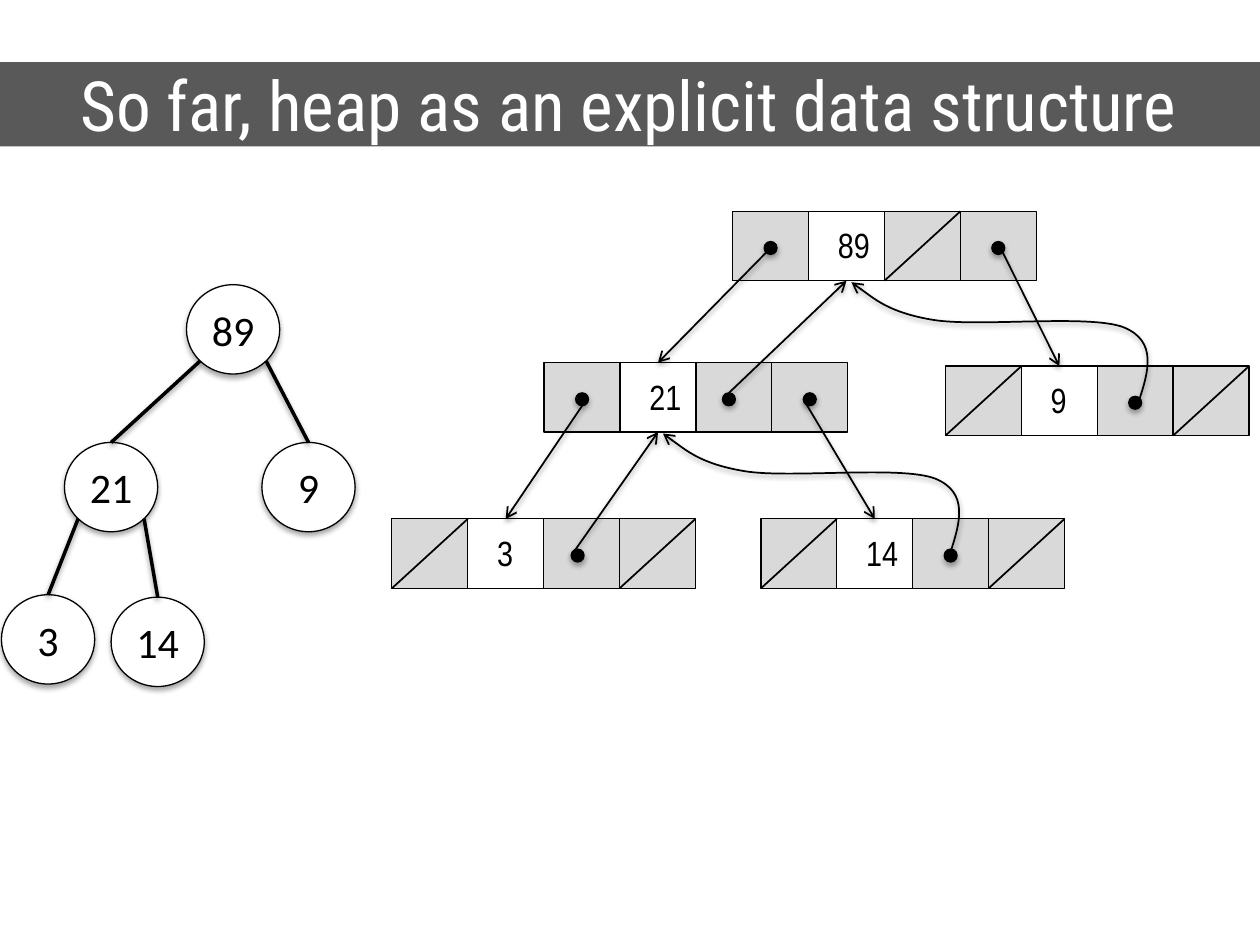
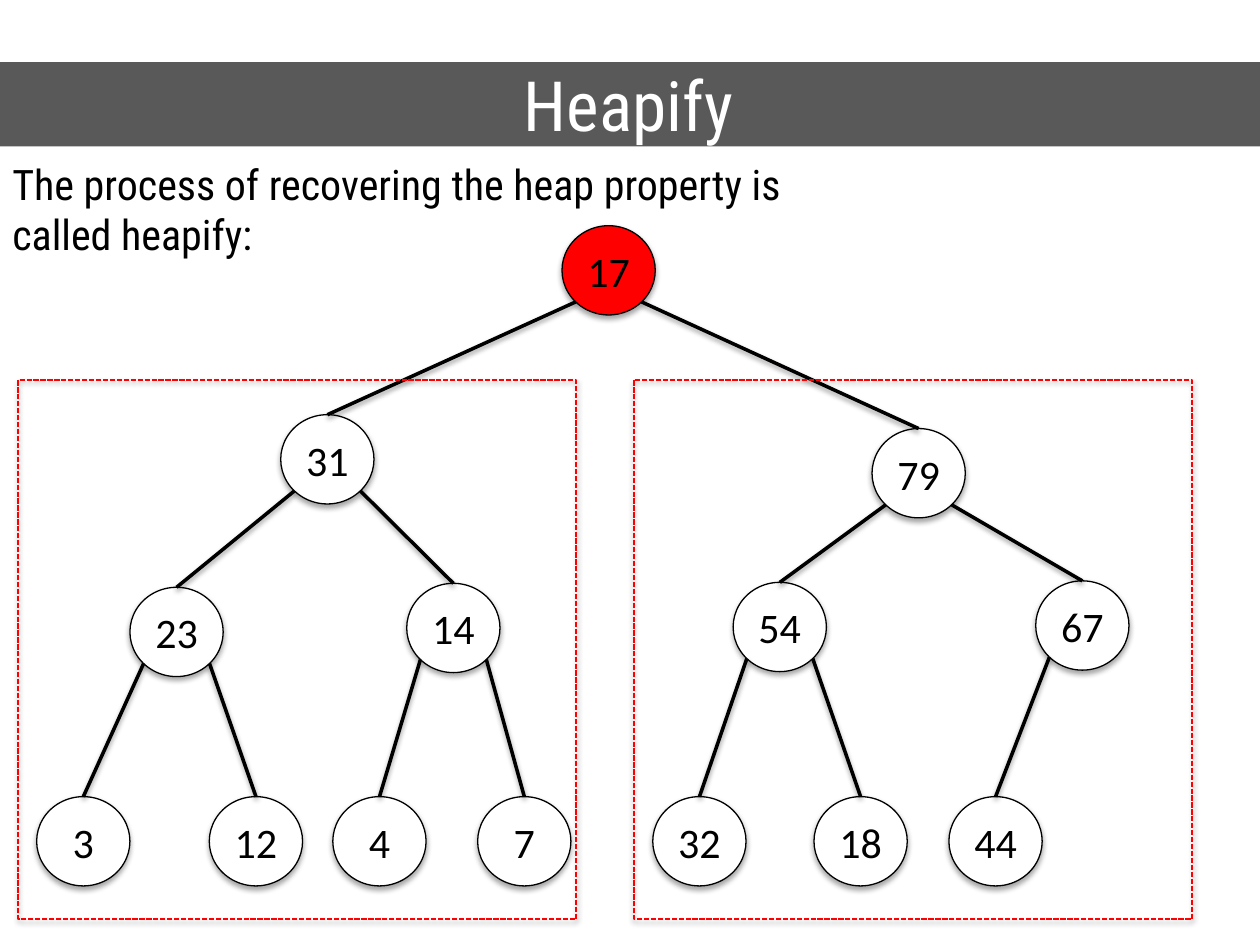
import math

from lxml import etree
from pptx import Presentation
from pptx import util as u
from pptx.dml.color import RGBColor
from pptx.enum import dml, shapes, text
from pptx.oxml import ns

BLACK, WHITE, RED = "000000", "FFFFFF", "FF0000"
BAND, CELL = "595959", "D9D9D9"
TITLE_FONT, NODE_FONT, RECORD_FONT = "Roboto Condensed", "Calibri", "Arial Narrow"
NODE_WIDTH, NODE_HEIGHT = 1.88, 1.8
CELL_WIDTH, CELL_HEIGHT = 1.53, 1.4
DOT = 0.26
LEFT, VALUE, PARENT, RIGHT = range(4)

EXPLICIT_TREE = [(89, 4.67, 0), (21, 2.21, 3.18), (9, 6.19, 3.18), (3, 0.94, 6.25), (14, 3.15, 6.3)]
HEAPIFY_TREE = [
    (17, 11.53, 0), (31, 5.86, 3.81), (79, 17.78, 4.09),
    (23, 2.82, 7.29), (14, 8.4, 7.21), (54, 14.98, 7.19), (67, 21.08, 7.16),
    (3, 0.94, 11.51), (12, 4.42, 11.51), (4, 6.91, 11.51), (7, 9.83, 11.51),
    (32, 13.36, 11.51), (18, 16.61, 11.51), (44, 19.33, 11.51),
]
RECORDS = {
    89: (6.87, 0, {LEFT: 0, RIGHT: 0}),
    21: (3.07, 3.05, {LEFT: 0, PARENT: -0.1, RIGHT: 0}),
    9: (11.16, 3.12, {PARENT: 0}),
    14: (7.44, 6.2, {PARENT: 0}),
    3: (0, 6.2, {PARENT: -0.08}),
}
STRAIGHT_POINTERS = [
    (89, LEFT, 21, -0.7, 0.7), (89, RIGHT, 9, 0.7, 0.7), (21, PARENT, 89, 0, -1),
    (21, LEFT, 3, 0, 1), (21, RIGHT, 14, -1, 0), (3, PARENT, 21, -1, 0),
]
CURVED_POINTERS = [89, 21]
CURVE = [
    (5.79, 2.41), (5.99, 1.8), (6.17, 1.19), (5.49, 0.91), (4.8, 0.64),
    (2.57, 0.91), (1.65, 0.76), (0.74, 0.61), (0, 0), (0, 0),
]


def color(value):
    return RGBColor.from_string(value)


def set_shadow(shape, alpha=0, distance=0):
    properties = shape._element.spPr
    effects = etree.SubElement(properties, ns.qn("a:effectLst"))
    if alpha:
        shadow = etree.SubElement(
            effects, ns.qn("a:outerShdw"), blurRad=str(u.Pt(3.1)),
            dist=str(u.Pt(distance)), dir="5400000", rotWithShape="0")
        tint = etree.SubElement(shadow, ns.qn("a:srgbClr"), val=BLACK)
        etree.SubElement(tint, ns.qn("a:alpha"), val=str(alpha * 1000))


def set_line(shape, width, line_color=BLACK, dash=None, arrow=False):
    shape.line.color.rgb = color(line_color)
    shape.line.width = u.Pt(width)
    if dash:
        shape.line.dash_style = dash
    if arrow:
        etree.SubElement(shape.line._get_or_add_ln(), ns.qn("a:tailEnd"), type="arrow")


def add_figure(slide, kind, left, top, width, height, fill=None):
    shape = slide.shapes.add_shape(kind, u.Cm(left), u.Cm(top), u.Cm(width), u.Cm(height))
    if fill:
        shape.fill.solid()
        shape.fill.fore_color.rgb = color(fill)
    else:
        shape.fill.background()
    return shape


def add_line(slide, start, end, width, arrow=False, shadow=True):
    ends = [u.Cm(value) for value in (*start, *end)]
    line = slide.shapes.add_connector(shapes.MSO_CONNECTOR.STRAIGHT, *ends)
    set_line(line, width, arrow=arrow)
    set_shadow(line, *((38, 1.6) if shadow else ()))


def write(shape, content, size, font, font_color=BLACK, align=text.PP_ALIGN.CENTER):
    paragraph = shape.text_frame.paragraphs[0]
    paragraph.alignment = align
    run = paragraph.add_run()
    run.text = content
    run.font.size = u.Pt(size)
    run.font.name = font
    run.font.color.rgb = color(font_color)


def add_label(slide, content, left, top, width, height, size, font, wrap):
    label = slide.shapes.add_textbox(u.Cm(left), u.Cm(top), u.Cm(width), u.Cm(height))
    label.text_frame.word_wrap = wrap
    write(label, content, size, font, align=text.PP_ALIGN.LEFT)


def add_titled_slide(presentation, content):
    slide = presentation.slides.add_slide(presentation.slide_layouts[5])
    title = slide.shapes.title
    title.left, title.top, title.width, title.height = map(u.Cm, (-0.05, 1.25, 25.45, 1.7))
    title.fill.solid()
    title.fill.fore_color.rgb = color(BAND)
    title.text_frame.auto_size = text.MSO_AUTO_SIZE.NONE
    title.text_frame.vertical_anchor = text.MSO_ANCHOR.MIDDLE
    write(title, content, 39.6, TITLE_FONT, WHITE)
    return slide


def add_node(slide, value, center, top, fill):
    node = add_figure(slide, shapes.MSO_SHAPE.OVAL, center - NODE_WIDTH / 2, top,
                      NODE_WIDTH, NODE_HEIGHT, fill)
    set_line(node, 0.75)
    set_shadow(node, 35, 1.8)
    frame = node.text_frame
    frame.margin_left = frame.margin_right = u.Cm(0.1)
    frame.vertical_anchor = text.MSO_ANCHOR.MIDDLE
    write(node, str(value), 24, NODE_FONT)


def add_tree(slide, left, top, nodes, root_fill=WHITE):
    diagonal = math.sqrt(0.5) / 2
    for index, (value, center, level) in enumerate(nodes):
        add_node(slide, value, left + center, top + level, WHITE if index else root_fill)
        if index:
            _, parent_center, parent_level = nodes[(index - 1) // 2]
            side = -1 if index % 2 else 1
            start = (left + parent_center + side * diagonal * NODE_WIDTH,
                     top + parent_level + (0.5 + diagonal) * NODE_HEIGHT)
            add_line(slide, start, (left + center, top + level), 2)


def dot_center(left, top, pointers, field):
    return left + (field + 0.5) * CELL_WIDTH + pointers[field], top + 0.74


def add_record(slide, left, top, value, pointers):
    for field in range(4):
        cell_left = left + field * CELL_WIDTH
        cell = add_figure(slide, shapes.MSO_SHAPE.RECTANGLE, cell_left, top, CELL_WIDTH,
                          CELL_HEIGHT, None if field == VALUE else CELL)
        set_line(cell, 0.75)
        set_shadow(cell)
        if field == VALUE:
            width = 0.51 + 0.33 * len(str(value))
            add_label(slide, str(value), cell_left + 0.34, top + 0.13, width, 1.12,
                      20, RECORD_FONT, False)
        elif field in pointers:
            x, y = dot_center(left, top, pointers, field)
            dot = add_figure(slide, shapes.MSO_SHAPE.OVAL, x - DOT / 2, y - DOT / 2,
                             DOT, DOT, BLACK)
            set_line(dot, 0.75)
            set_shadow(dot, 35, 1.8)
        else:
            add_line(slide, (cell_left, top + CELL_HEIGHT), (cell_left + CELL_WIDTH, top),
                     1, shadow=False)


def add_curved_pointer(slide, left, top):
    points = [(u.Cm(left + x), u.Cm(top + y)) for x, y in CURVE]
    builder = slide.shapes.build_freeform(*points[0])
    builder.add_line_segments(points[1:], close=False)
    curve = builder.convert_to_shape()
    segments = list(curve._element.iter(ns.qn("a:lnTo")))
    outline = segments[0].getparent()
    for first in range(0, len(segments), 3):
        bezier = etree.SubElement(outline, ns.qn("a:cubicBezTo"))
        for segment in segments[first:first + 3]:
            bezier.append(segment[0])
            outline.remove(segment)
    curve.fill.background()
    set_line(curve, 1, arrow=True)
    set_shadow(curve, 38, 1.6)


def add_linked_records(slide, left, top):
    placed = {value: (left + x, top + y, pointers) for value, (x, y, pointers) in RECORDS.items()}
    for value, (x, y, pointers) in placed.items():
        add_record(slide, x, y, value, pointers)
    for source, field, target, across, down in STRAIGHT_POINTERS:
        x, y = dot_center(*placed[source], field)
        target_left, target_top, _ = placed[target]
        end_top = target_top + (CELL_HEIGHT if field == PARENT else 0)
        add_line(slide, (x + across * DOT / 2, y + down * DOT / 2),
                 (target_left + 1.5 * CELL_WIDTH, end_top), 1, arrow=True)
    for target in CURVED_POINTERS:
        x, y, _ = placed[target]
        add_curved_pointer(slide, x + 1.5 * CELL_WIDTH + 0.1, y + CELL_HEIGHT + 0.03)


def add_subtree_frame(slide, left, top):
    frame = add_figure(slide, shapes.MSO_SHAPE.RECTANGLE, left, top, 11.25, 10.87)
    set_line(frame, 1, RED, dml.MSO_LINE.SQUARE_DOT)
    set_shadow(frame, 38, 1.6)


def build_explicit_slide(presentation):
    slide = add_titled_slide(presentation, "So far, heap as an explicit data structure")
    add_tree(slide, 0.03, 5.74, EXPLICIT_TREE)
    add_linked_records(slide, 7.9, 4.26)


def build_heapify_slide(presentation):
    slide = add_titled_slide(presentation, "Heapify")
    add_tree(slide, 0.74, 4.55, HEAPIFY_TREE, RED)
    add_label(slide, "The process of recovering the heap property is called heapify:",
              0, 3.07, 17.22, 2.3, 24, TITLE_FONT, True)
    for left in (0.37, 12.78):
        add_subtree_frame(slide, left, 7.66)


def main():
    presentation = Presentation()
    presentation.slide_width, presentation.slide_height = u.Cm(25.4), u.Cm(19.05)
    build_explicit_slide(presentation)
    build_heapify_slide(presentation)
    presentation.save("out.pptx")


if __name__ == "__main__":
    main()
